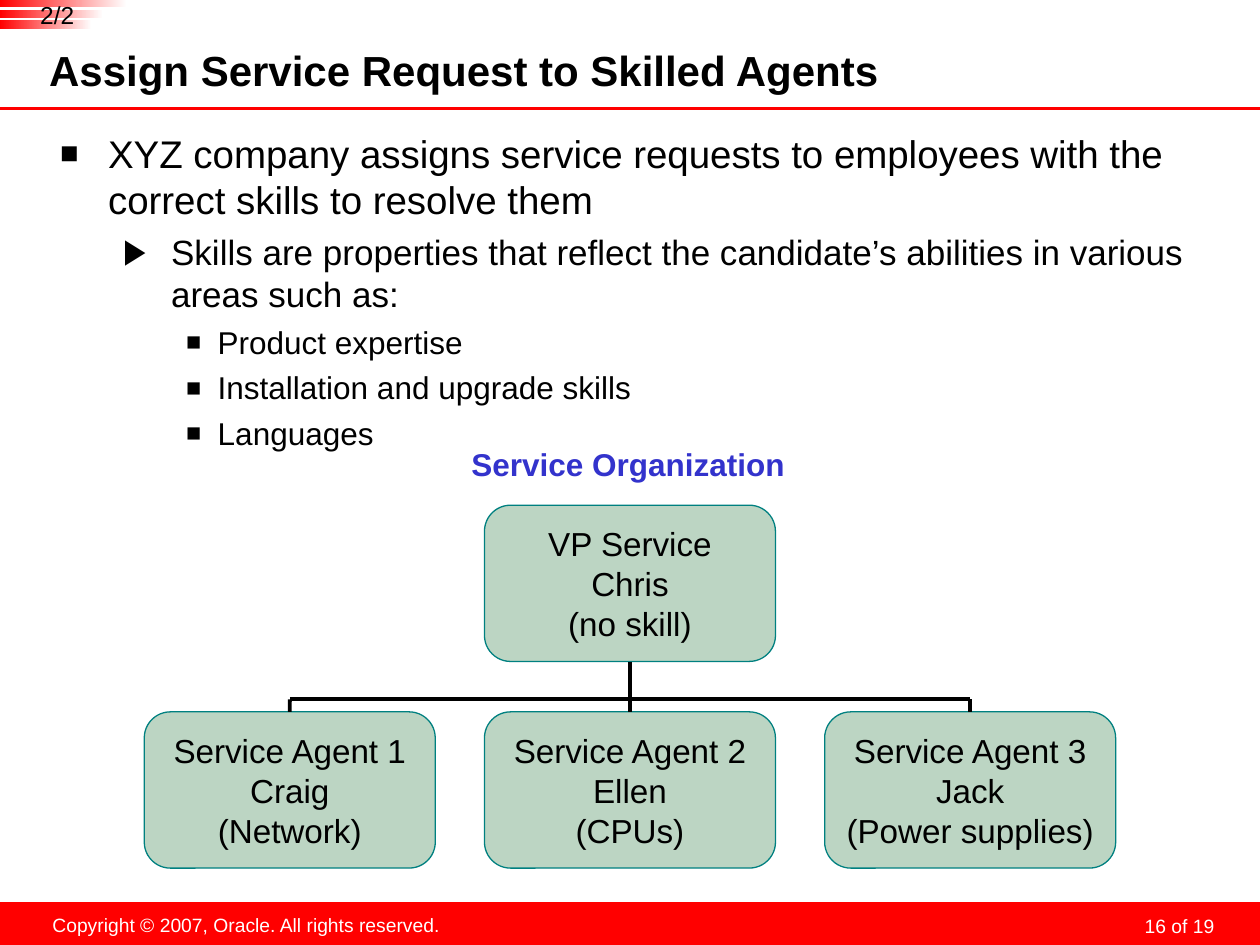
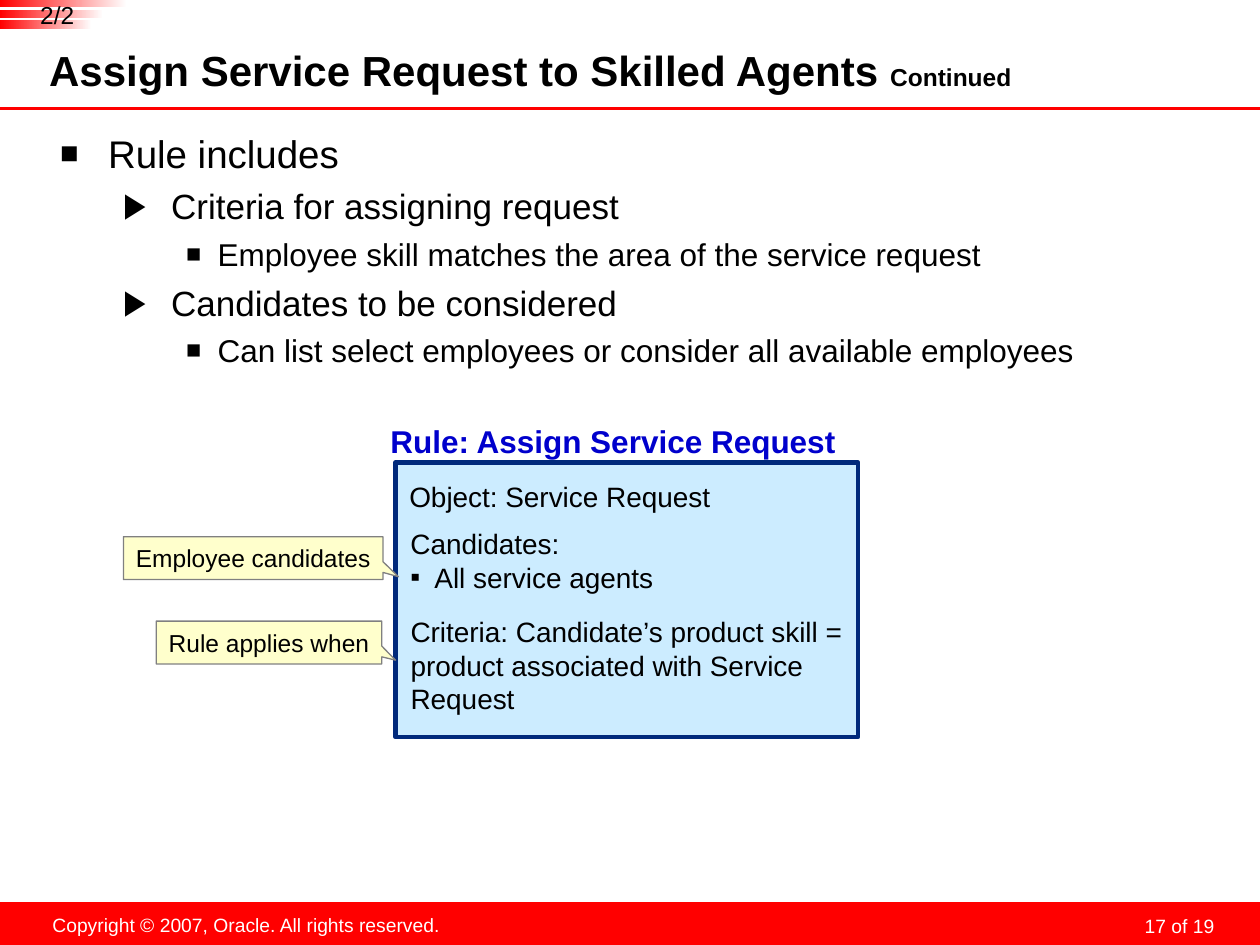
"""Build two slides on assigning service requests to skilled agents."""
import pptx
import pptx.dml.color
import pptx.enum.dml
import pptx.enum.shapes
import pptx.enum.text
import pptx.oxml
import pptx.oxml.ns
import pptx.util

SLIDE_W, SLIDE_H = 10, 7.5
FONT = "Arial"
BLACK, WHITE, RED = "000000", "FFFFFF", "FF0000"
BOX_FILL, BOX_LINE = "85B393", "008080"
RULE_FILL, RULE_LINE = "CCECFF", "00297B"
NOTE_FILL, NOTE_LINE = "FFFFCC", "808080"

SHAPE = pptx.enum.shapes.MSO_SHAPE
ALIGN = pptx.enum.text.PP_ALIGN
MIDDLE = pptx.enum.text.MSO_ANCHOR.MIDDLE
INSETS = (0.1, 0.05, 0.1, 0.05)

TITLE = "Assign Service Request to Skilled Agents"
COPYRIGHT = "Copyright © 2007, Oracle. All rights reserved."
PART = "2/2"
TOTAL = 19

LEVELS = [
    dict(size=22, before=5.5, margin=0.38, hang=0.38, bullet="■", scale=80),
    dict(size=20, before=5, margin=0.88, hang=0.38, bullet="▶", scale=100),
    dict(size=18, before=4.5, margin=1.25, hang=0.25, bullet="■", scale=80),
]
SKILL_POINTS = [
    (0, "XYZ company assigns service requests to employees with the correct skills to resolve them"),
    (1, "Skills are properties that reflect the candidate’s abilities in various areas such as:"),
    (2, "Product expertise"),
    (2, "Installation and upgrade skills"),
    (2, "Languages"),
]
RULE_POINTS = [
    (0, "Rule includes"),
    (1, "Criteria for assigning request"),
    (2, "Employee skill matches the area of the service request"),
    (1, "Candidates to be considered"),
    (2, "Can list select employees or consider all available employees"),
]
MANAGER = ["VP Service", "Chris", "(no skill)"]
AGENTS = [
    ["Service Agent 1", "Craig", "(Network)"],
    ["Service Agent 2", "Ellen", "(CPUs)"],
    ["Service Agent 3", "Jack", "(Power supplies)"],
]
RULE_TEXTS = [
    ((3.15, 3.76, 3.22, 0.37), ["Object: Service Request"]),
    ((3.16, 4.13, 3.17, 0.64), ["Candidates:", "All service agents"]),
    ((3.16, 4.83, 3.65, 0.9),
     ["Criteria: Candidate’s product skill = product associated with Service Request"]),
]
CALLOUTS = [
    ((0.98, 4.26, 2.06, 0.34), (0.56, 0.435), "Employee candidates"),
    ((1.24, 4.93, 1.79, 0.34), (0.561, 0.412), "Rule applies when"),
]
BARS = [(0, 1.01, 0.06), (0.08, 0.82, 0.06), (0.16, 0.73, 0.07)]


def rgb(value):
    return pptx.dml.color.RGBColor.from_string(value)


def inches(*values):
    return [pptx.util.Inches(v) for v in values]


def xml(parent, tag, **attrs):
    el = pptx.oxml.parse_xml(f"<a:{tag} {pptx.oxml.ns.nsdecls('a')}/>")
    for name, value in attrs.items():
        el.set(name, str(value))
    parent.append(el)
    return el


def add_run(p, text, size, color=BLACK, bold=False):
    r = p.add_run()
    r.text = text
    r.font.name, r.font.size, r.font.bold = FONT, pptx.util.Pt(size), bold
    r.font.color.rgb = rgb(color)


def set_frame(sp, insets=INSETS, wrap=True, anchor=None):
    tf = sp.text_frame
    tf.margin_left, tf.margin_top, tf.margin_right, tf.margin_bottom = inches(*insets)
    tf.word_wrap = wrap
    tf.auto_size = pptx.enum.text.MSO_AUTO_SIZE.NONE
    if anchor is not None:
        tf.vertical_anchor = anchor
    return tf


def add_lines(tf, lines, size, color=BLACK, bold=False, align=ALIGN.LEFT):
    for i, line in enumerate(lines):
        p = tf.add_paragraph() if i else tf.paragraphs[0]
        p.alignment = align
        add_run(p, line, size, color, bold)


def add_text(s, at, lines, size, insets=INSETS, wrap=True, **style):
    tf = set_frame(s.shapes.add_textbox(*inches(*at)), insets, wrap)
    add_lines(tf, lines, size, **style)
    return tf


def add_bullet(p, char, margin, hang, scale=100):
    pPr = p._p.get_or_add_pPr()
    pPr.set("marL", str(pptx.util.Inches(margin)))
    pPr.set("indent", str(-pptx.util.Inches(hang)))
    xml(xml(pPr, "buClr"), "srgbClr", val=BLACK)
    xml(pPr, "buSzPct", val=scale * 1000)
    xml(pPr, "buFont", typeface=FONT)
    xml(pPr, "buChar", char=char)


def add_box(s, kind, at, fill, line=None, width=0.75):
    sp = s.shapes.add_shape(kind, *inches(*at))
    sp.shadow.inherit = False
    sp.fill.solid()
    sp.fill.fore_color.rgb = rgb(fill)
    if line:
        sp.line.color.rgb = rgb(line)
        sp.line.width = pptx.util.Pt(width)
    else:
        sp.line.fill.background()
    return sp


def add_line(s, start, end, color, width):
    c = s.shapes.add_connector(pptx.enum.shapes.MSO_CONNECTOR.STRAIGHT, *inches(*start, *end))
    c.line.color.rgb = rgb(color)
    c.line.width = pptx.util.Pt(width)
    xml(c._element.spPr, "effectLst")
    return c


def add_corner_mark(s):
    for top, width, height in BARS:
        sp = add_box(s, SHAPE.RECTANGLE, (0, top, width, height), RED)
        sp.fill.gradient()
        sp.fill.gradient_angle = 0
        for stop, color, place in zip(sp.fill.gradient_stops, (RED, WHITE), (0, 1)):
            stop.color.rgb = rgb(color)
            stop.position = place
    add_text(s, (0.2, 0, 0.51, 0.23), [PART], 14, insets=(0, 0, 0, 0), align=ALIGN.CENTER)


def add_points(s, points):
    tf = set_frame(s.shapes.add_textbox(*inches(0.38, 0.93, 9.3, 6.18)), (0.1, 0.1, 0.1, 0.05))
    for i, (level, text) in enumerate(points):
        look = LEVELS[level]
        p = tf.add_paragraph() if i else tf.paragraphs[0]
        p.level = level
        if i:
            p.space_before = pptx.util.Pt(look["before"])
        add_bullet(p, look["bullet"], look["margin"], look["hang"], look["scale"])
        add_run(p, text, look["size"])


def add_slide(prs, number, points, suffix=""):
    s = prs.slides.add_slide(prs.slide_layouts[5])
    add_box(s, SHAPE.RECTANGLE, (0, 7.16, SLIDE_W, SLIDE_H - 7.16), RED)
    tf = add_text(s, (7.36, 7.19, 2.33, 0.25), [f"{number} of {TOTAL}"], 11,
                  insets=(0.05, 0, 0.05, 0), color=WHITE, align=ALIGN.RIGHT)
    tf.paragraphs[0].line_spacing = pptx.util.Pt(18)
    add_text(s, (0.31, 7.2, 3.29, 0.29), [COPYRIGHT], 11, wrap=False,
             color=WHITE, align=ALIGN.CENTER)
    add_line(s, (0, 0.86), (SLIDE_W, 0.86), RED, 1.75)

    title = s.shapes.title
    title.left, title.top, title.width, title.height = inches(0.39, 0.38, 7.87, 0.4)
    p = set_frame(title, (0, 0, 0.05, 0.05), anchor=MIDDLE).paragraphs[0]
    p.alignment = ALIGN.LEFT
    add_run(p, TITLE + (" " if suffix else ""), 24, bold=True)
    if suffix:
        add_run(p, suffix, 14, bold=True)
    add_points(s, points)
    add_corner_mark(s)
    return s


def add_person(s, center, top, width, height, lines):
    sp = add_box(s, SHAPE.ROUNDED_RECTANGLE, (center - width / 2, top, width, height),
                 BOX_FILL, BOX_LINE)
    sp.adjustments[0] = 0.167
    color = sp._element.spPr.find(".//" + pptx.oxml.ns.qn("a:srgbClr"))
    xml(color, "alpha", val=55000)
    tf = set_frame(sp, (0.11, 0.05, 0.11, 0.05), wrap=False, anchor=MIDDLE)
    add_lines(tf, lines, 19, align=ALIGN.CENTER)
    return sp


def add_organization(s):
    width, height, pitch = 2.31, 1.24, 2.7
    manager_top, agent_top, bus = 4.01, 5.65, 5.55
    middle = SLIDE_W / 2
    centers = [middle + (i - 1) * pitch for i in range(len(AGENTS))]
    add_text(s, (3.4, 3.48, 3.17, 0.4), ["Service Organization"], 18,
             color="3333CC", bold=True, align=ALIGN.CENTER)
    manager = add_person(s, middle, manager_top, width, height, MANAGER)
    add_line(s, (centers[0], bus), (centers[-1], bus), BLACK, 2.25)
    for center, lines in zip(centers, AGENTS):
        agent = add_person(s, center, agent_top, width, height, lines)
        start = manager_top + height if center == middle else bus
        drop = add_line(s, (center, start), (center, agent_top), BLACK, 2.25)
        if center == middle:
            drop.begin_connect(manager, 2)
        drop.end_connect(agent, 0)


def add_rule(s):
    add_box(s, SHAPE.RECTANGLE, (3.14, 3.67, 3.67, 2.18), RULE_FILL, RULE_LINE, 2.5)
    add_text(s, (3, 3.3, 3.98, 0.4), ["Rule: Assign Service Request"], 18,
             color="0000CC", bold=True)
    for at, lines in RULE_TEXTS:
        tf = add_text(s, at, lines, 16)
        for p in tf.paragraphs[1:]:
            add_bullet(p, "▪", 0.19, 0.19)
    for at, tip, text in CALLOUTS:
        sp = add_box(s, SHAPE.RECTANGULAR_CALLOUT, at, NOTE_FILL, NOTE_LINE)
        sp.adjustments[0], sp.adjustments[1] = tip
        add_lines(set_frame(sp, wrap=False, anchor=MIDDLE), [text], 14)


def main():
    prs = pptx.Presentation()
    prs.slide_width, prs.slide_height = inches(SLIDE_W, SLIDE_H)
    add_organization(add_slide(prs, 16, SKILL_POINTS))
    add_rule(add_slide(prs, 17, RULE_POINTS, "Continued"))
    prs.save("out.pptx")


if __name__ == "__main__":
    main()
